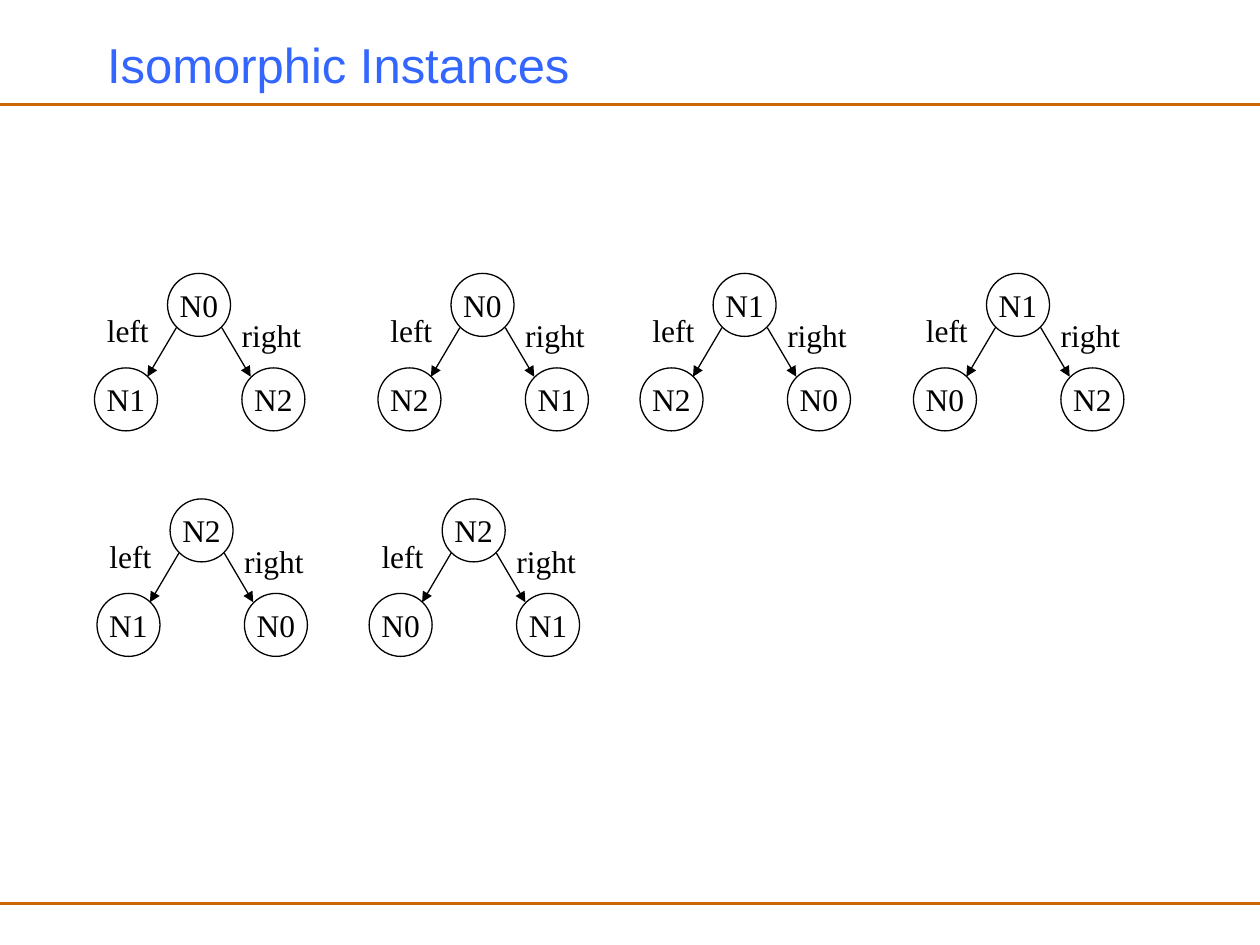
from dataclasses import dataclass

from lxml import etree
from pptx import Presentation, util as u
from pptx.dml.color import RGBColor
from pptx.enum import shapes, text
from pptx.oxml import ns
from pptx.slide import Slide


@dataclass(frozen=True)
class Theme:
    title_color: RGBColor = RGBColor(0x33, 0x66, 0xFF)
    rule_color: RGBColor = RGBColor(0xCC, 0x66, 0x00)
    ink: RGBColor = RGBColor(0x00, 0x00, 0x00)
    title_font: str = "Arial"
    label_font: str = "Times New Roman"
    title_size: int = 28
    label_size: int = 18
    rule_width: float = 2
    line_width: float = 0.75


@dataclass(frozen=True)
class Tree:
    left: float
    top: float
    root: str
    left_child: str
    right_child: str


THEME = Theme()
NODE_SIZE = 0.5
ROOT_DX = 0.58
RIGHT_DX = 1.17
CHILD_DY = 0.75

TREES = [
    Tree(0.75, 2.17, "N0", "N1", "N2"),
    Tree(3.00, 2.17, "N0", "N2", "N1"),
    Tree(5.08, 2.17, "N1", "N2", "N0"),
    Tree(7.25, 2.17, "N1", "N0", "N2"),
    Tree(0.77, 3.96, "N2", "N1", "N0"),
    Tree(2.93, 3.96, "N2", "N0", "N1"),
]


def format_text(frame: text, content: str, font: str, size: float, color: RGBColor) -> None:
    frame.text = content
    for span in frame.paragraphs[0].runs:
        span.font.name = font
        span.font.size = u.Pt(size)
        span.font.color.rgb = color


def add_line(page: Slide, start: tuple[float, float], end: tuple[float, float],
             color: RGBColor, width: float, arrow: bool = False) -> None:
    points = [u.Inches(value) for value in (*start, *end)]
    line = page.shapes.add_connector(shapes.MSO_CONNECTOR.STRAIGHT, *points)
    line.line.color.rgb = color
    line.line.width = u.Pt(width)
    if arrow:
        outline = line.line._get_or_add_ln()
        etree.SubElement(outline, ns.qn("a:tailEnd"), type="triangle")
    etree.SubElement(line._element.spPr, ns.qn("a:effectLst"))


def add_node(page: Slide, left: float, top: float, name: str) -> None:
    node = page.shapes.add_shape(
        shapes.MSO_SHAPE.OVAL, u.Inches(left), u.Inches(top),
        u.Inches(NODE_SIZE), u.Inches(NODE_SIZE))
    node.shadow.inherit = False
    node.fill.background()
    node.line.color.rgb = THEME.ink
    node.line.width = u.Pt(THEME.line_width)
    frame = node.text_frame
    frame.word_wrap = False
    frame.vertical_anchor = text.MSO_ANCHOR.MIDDLE
    format_text(frame, name, THEME.label_font, THEME.label_size, THEME.ink)
    frame.paragraphs[0].alignment = text.PP_ALIGN.CENTER


def add_label(page: Slide, left: float, top: float, width: float, content: str) -> None:
    box = page.shapes.add_textbox(
        u.Inches(left), u.Inches(top), u.Inches(width), u.Inches(0.4))
    frame = box.text_frame
    frame.word_wrap = False
    frame.auto_size = text.MSO_AUTO_SIZE.SHAPE_TO_FIT_TEXT
    format_text(frame, content, THEME.label_font, THEME.label_size, THEME.ink)


def add_tree(page: Slide, tree: Tree) -> None:
    x, y = tree.left, tree.top
    # Nodes
    add_node(page, x + ROOT_DX, y, tree.root)
    add_node(page, x, y + CHILD_DY, tree.left_child)
    add_node(page, x + RIGHT_DX, y + CHILD_DY, tree.right_child)
    # Arrows to the children, mirrored about the root's centre
    centre = x + ROOT_DX + NODE_SIZE / 2
    for side in (-1, 1):
        add_line(page, (centre + side * 0.18, y + 0.43), (centre + side * 0.41, y + 0.82),
                 THEME.ink, THEME.line_width, arrow=True)
    # Field names
    add_label(page, x + 1.07, y + 0.29, 0.67, "right")
    add_label(page, x, y + 0.25, 0.53, "left")


def main() -> None:
    deck = Presentation()
    deck.slide_width, deck.slide_height = u.Inches(10), u.Inches(7.5)
    page = deck.slides.add_slide(deck.slide_layouts[5])

    # Rules above and below the content
    for y in (0.83, 7.17):
        add_line(page, (0, y), (10, y), THEME.rule_color, THEME.rule_width)

    # Title
    title = page.shapes.title
    title.left, title.top = u.Inches(0.75), u.Inches(0.17)
    title.width, title.height = u.Inches(8.5), u.Inches(0.67)
    frame = title.text_frame
    frame.vertical_anchor = text.MSO_ANCHOR.MIDDLE
    format_text(frame, "Isomorphic Instances", THEME.title_font,
                THEME.title_size, THEME.title_color)
    frame.paragraphs[0].alignment = text.PP_ALIGN.LEFT

    # Trees
    for tree in TREES:
        add_tree(page, tree)

    deck.save("out.pptx")


if __name__ == "__main__":
    main()
